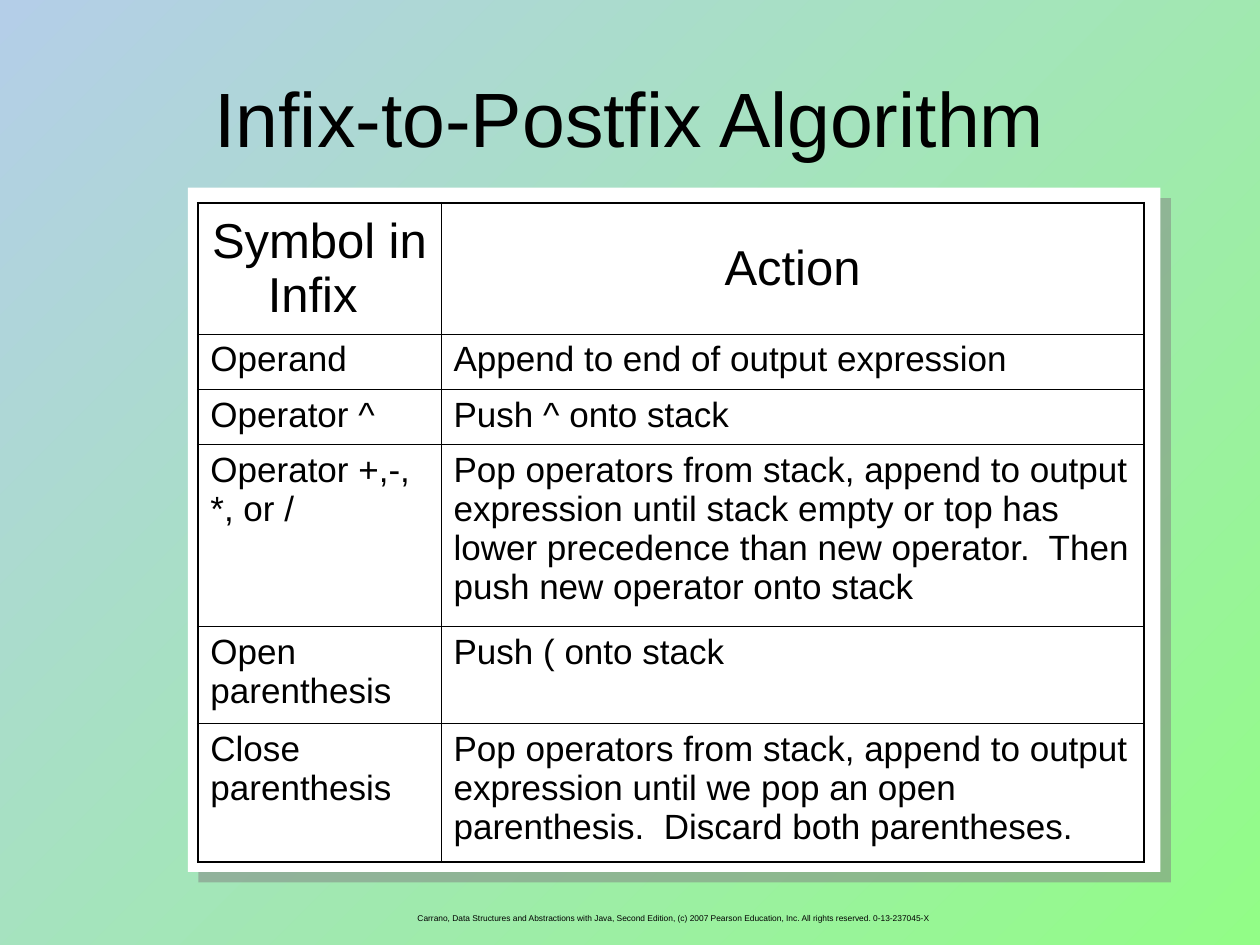
from lxml import etree
from pptx import Presentation
from pptx.dml.color import RGBColor
from pptx.enum import shapes, text
from pptx.oxml import ns
from pptx.util import Inches, Pt

BLACK = RGBColor(0x00, 0x00, 0x00)
WHITE = RGBColor(0xFF, 0xFF, 0xFF)
GREY = RGBColor(0x80, 0x80, 0x80)
BLUE = RGBColor(0xB4, 0xCE, 0xE8)
GREEN = RGBColor(0x92, 0xFD, 0x87)
FONT = "Arial"
THICK, THIN = Pt(1.08), Pt(0.45)

TITLE = "Infix-to-Postfix Algorithm"
FOOTER = ("Carrano, Data Structures and Abstractions with Java, Second Edition, "
          "(c) 2007 Pearson Education, Inc. All rights reserved. 0-13-237045-X")
ROWS = [
    ("Symbol in Infix ", "Action"),
    ("Operand", "Append to end of output expression"),
    ("Operator ^", "Push ^ onto stack"),
    ("Operator +,-,\n*, or /",
     "Pop operators from stack, append to output expression until stack empty or "
     "top has lower precedence than new operator.  Then push new operator onto stack"),
    ("Open parenthesis", "Push ( onto stack"),
    ("Close parenthesis",
     "Pop operators from stack, append to output expression until we pop an open "
     "parenthesis.  Discard both parentheses."),
]
COLUMN_WIDTHS = [1.93, 5.58]
ROW_HEIGHTS = [1.04, 0.44, 0.44, 1.44, 0.77, 1.1]


def write(frame, content, size, align, space_before=0):
    """Fill the frame's first paragraph, with a line break at each newline."""
    frame.word_wrap = True
    para = frame.paragraphs[0]
    para.alignment = align
    para.space_before = Pt(space_before)
    for index, line in enumerate(content.split("\n")):
        if index:
            para.add_line_break()
        span = para.add_run()
        span.text = line
        span.font.name = FONT
        span.font.size = Pt(size)
        span.font.color.rgb = BLACK


def add_text(page, place, content, size, anchor):
    box = page.shapes.add_textbox(*map(Inches, place))
    box.text_frame.vertical_anchor = anchor
    write(box.text_frame, content, size, text.PP_ALIGN.CENTER)


def add_color(parent, color):
    return etree.SubElement(parent, ns.qn("a:srgbClr"), val=str(color))


def add_panel(page):
    panel = page.shapes.add_shape(shapes.MSO_SHAPE.RECTANGLE,
                                  *map(Inches, (1.49, 1.49, 7.72, 5.43)))
    panel.fill.solid()
    panel.fill.fore_color.rgb = WHITE
    panel.line.fill.background()
    panel.shadow.inherit = False
    effects = panel._element.spPr.find(ns.qn("a:effectLst"))
    shadow = etree.SubElement(effects, ns.qn("a:outerShdw"), blurRad="0",
                              dist=str(Pt(8.5)), dir="2700000",
                              algn="ctr", rotWithShape="0")
    etree.SubElement(add_color(shadow, GREY), ns.qn("a:alpha"), val="50000")


def add_borders(cell, widths):
    properties = cell._tc.get_or_add_tcPr()
    for side, width in zip("LRTB", widths):
        line = etree.SubElement(properties, ns.qn(f"a:ln{side}"), w=str(width))
        add_color(etree.SubElement(line, ns.qn("a:solidFill")), BLACK)


def add_symbol_table(page):
    place = (1.57, 1.61, sum(COLUMN_WIDTHS), sum(ROW_HEIGHTS))
    table = page.shapes.add_table(len(ROWS), len(COLUMN_WIDTHS),
                                  *map(Inches, place)).table
    table.first_row = table.horz_banding = False
    for column, width in zip(table.columns, COLUMN_WIDTHS):
        column.width = Inches(width)
    for row, height in zip(table.rows, ROW_HEIGHTS):
        row.height = Inches(height)
    last_row, last_column = len(ROWS) - 1, len(COLUMN_WIDTHS) - 1
    for r, entries in enumerate(ROWS):
        for c, content in enumerate(entries):
            cell = table.cell(r, c)
            outer = (c == 0, c == last_column, r == 0, r == last_row)
            add_borders(cell, [THICK if edge else THIN for edge in outer])
            cell.fill.solid()
            cell.fill.fore_color.rgb = WHITE
            if r == 0:
                cell.vertical_anchor = text.MSO_ANCHOR.MIDDLE
                write(cell.text_frame, content, 28, text.PP_ALIGN.CENTER, 7)
            else:
                cell.vertical_anchor = text.MSO_ANCHOR.TOP
                write(cell.text_frame, content, 20, text.PP_ALIGN.LEFT, 5)


def main():
    deck = Presentation()
    deck.slide_width, deck.slide_height = Inches(10), Inches(7.5)
    page = deck.slides.add_slide(deck.slide_layouts[6])
    backdrop = page.background.fill
    backdrop.gradient()
    backdrop.gradient_angle = 315
    for stop, color in zip(backdrop.gradient_stops, (BLUE, GREEN)):
        stop.color.rgb = color

    add_text(page, (0.7, 7.2, 9.3, 0.2), FOOTER, 4.8, text.MSO_ANCHOR.TOP)
    add_panel(page)
    add_text(page, (0.5, 0.3, 9, 1.25), TITLE, 44, text.MSO_ANCHOR.MIDDLE)
    add_symbol_table(page)
    deck.save("out.pptx")


if __name__ == "__main__":
    main()
